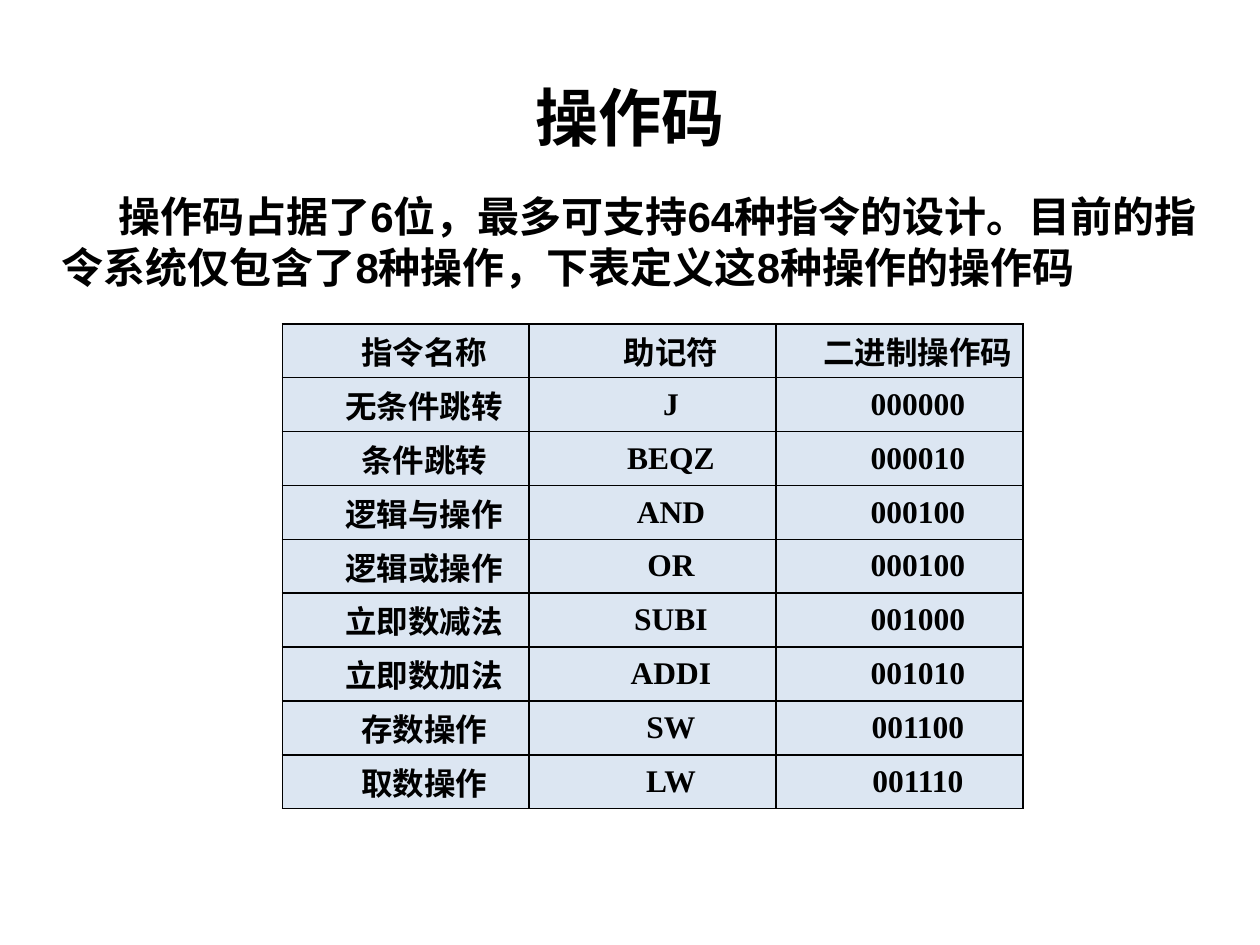
from lxml.etree import SubElement as Sub
from pptx import Presentation
from pptx.dml.color import RGBColor as RGB
from pptx.enum.text import MSO_ANCHOR as Anchor, PP_ALIGN as Align
from pptx.oxml.ns import qn
from pptx.util import Inches, Pt

BLACK = RGB(0x00, 0x00, 0x00)
PALE = RGB(0xDC, 0xE6, 0xF2)

ROWS = [
    ("指令名称", "助记符", "二进制操作码"),
    ("无条件跳转", "J", "000000"),
    ("条件跳转", "BEQZ", "000010"),
    ("逻辑与操作", "AND", "000100"),
    ("逻辑或操作", "OR", "000100"),
    ("立即数减法", "SUBI", "001000"),
    ("立即数加法", "ADDI", "001010"),
    ("存数操作", "SW", "001100"),
    ("取数操作", "LW", "001110"),
]


def apply(item, form):
    for key, value in form.items():
        setattr(item, key, value)


class Page:
    title_font = {"name": "Calibri", "size": Pt(36), "bold": True}
    text_font = {"name": "Arial", "size": Pt(24), "bold": True}
    cell_font = {"name": "Times New Roman", "size": Pt(18), "bold": True}
    cell_form = {
        "vertical_anchor": Anchor.MIDDLE,
        "margin_left": Inches(0.07),
        "margin_right": Inches(0.07),
        "margin_top": 0,
        "margin_bottom": 0,
    }

    def __init__(self, slide):
        self.slide = slide

    def label(self, frame, text, font, align, indent=0):
        par = frame.paragraphs[0]
        par.alignment = align
        par._p.get_or_add_pPr().set("indent", str(Inches(indent)))
        run = par.add_run()
        run.text = text
        apply(run.font, font)
        run.font.color.rgb = BLACK

    def title(self, text, left, top, width, height):
        shape = self.slide.shapes.title
        apply(shape, {"left": Inches(left), "top": Inches(top),
                      "width": Inches(width), "height": Inches(height)})
        shape.text_frame.vertical_anchor = Anchor.MIDDLE
        self.label(shape.text_frame, text, self.title_font, Align.CENTER)

    def text(self, text, left, top, width, height):
        box = self.slide.shapes.add_textbox(
            Inches(left), Inches(top), Inches(width), Inches(height))
        apply(box.text_frame, {"word_wrap": True, "vertical_anchor": Anchor.MIDDLE})
        self.label(box.text_frame, text, self.text_font, Align.LEFT, 0.45)

    def border(self, cell):
        props = cell._tc.get_or_add_tcPr()
        for spot, side in enumerate(("lnL", "lnR", "lnT", "lnB")):
            line = Sub(props, qn(f"a:{side}"), w=str(Pt(1)))
            Sub(Sub(line, qn("a:solidFill")), qn("a:srgbClr"), val=str(BLACK))
            props.insert(spot, line)

    def table(self, rows, left, top, width, height):
        grid = self.slide.shapes.add_table(
            len(rows), len(rows[0]), Inches(left), Inches(top),
            Inches(width), Inches(height)).table
        apply(grid, {"first_row": False, "horz_banding": False})
        for cell, text in zip(grid.iter_cells(), sum(rows, ())):
            apply(cell, self.cell_form)
            cell.fill.solid()
            cell.fill.fore_color.rgb = PALE
            self.border(cell)
            self.label(cell.text_frame, text, self.cell_font, Align.CENTER, 0.29)


def main():
    deck = Presentation()
    apply(deck, {"slide_width": Inches(10), "slide_height": Inches(7.5)})
    page = Page(deck.slides.add_slide(deck.slide_layouts[5]))
    page.title("操作码", 0.5, 0.3, 9, 1.25)
    page.table(ROWS, 2.24, 2.57, 5.88, 3.85)
    page.text("操作码占据了6位，最多可支持64种指令的设计。目前的指令系统仅包含了8种操作，"
              "下表定义这8种操作的操作码", 0.39, 1.46, 9.45, 0.91)
    deck.save("out.pptx")


if __name__ == "__main__":
    main()
